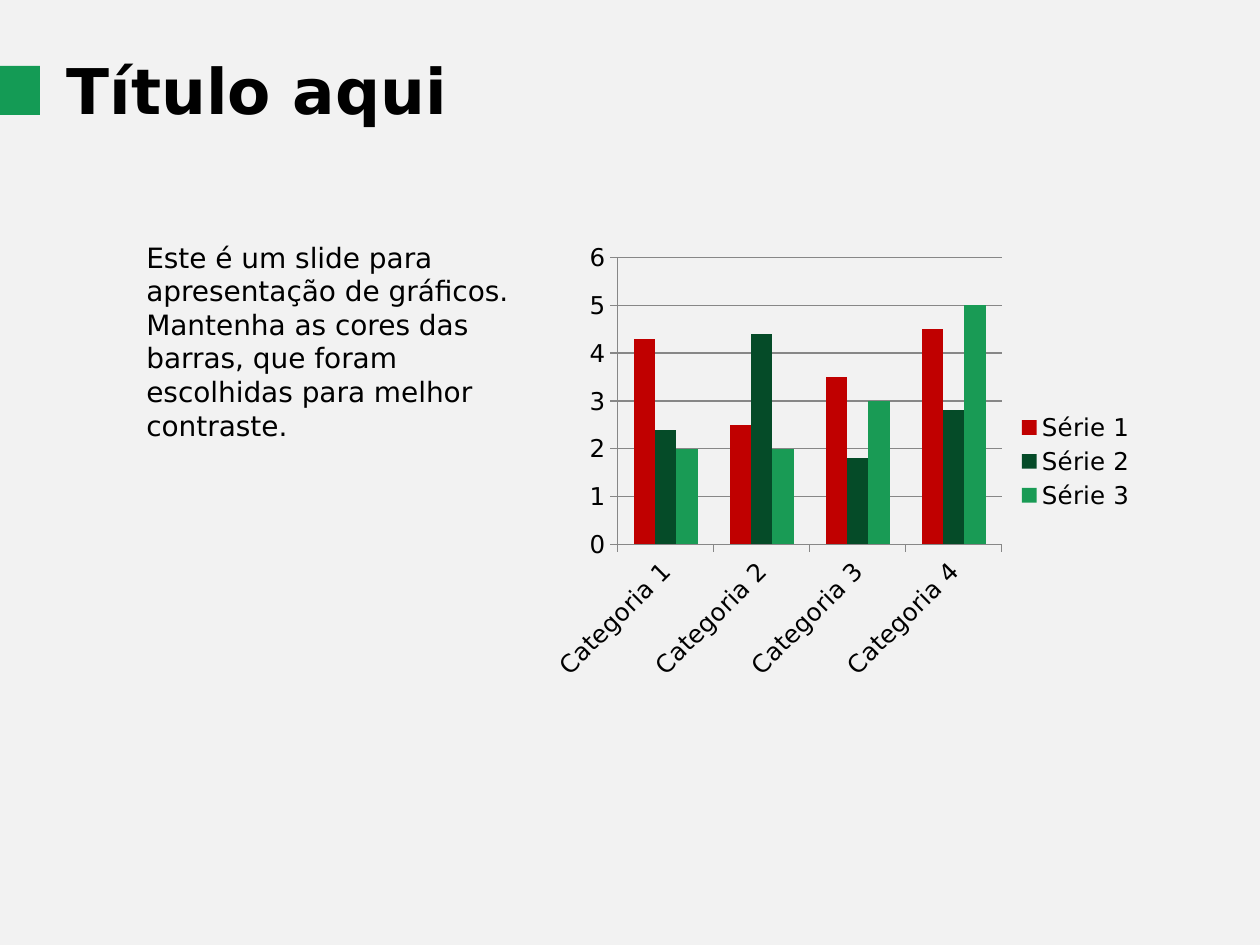
from pptx import Presentation
from pptx.chart.data import CategoryChartData
from pptx.dml.color import RGBColor
from pptx.enum.chart import XL_CHART_TYPE, XL_LEGEND_POSITION, XL_TICK_MARK
from pptx.enum.shapes import MSO_SHAPE
from pptx.enum.text import MSO_ANCHOR, PP_ALIGN
from pptx.util import Pt

COLUMNS = XL_CHART_TYPE.COLUMN_CLUSTERED
RIGHT = XL_LEGEND_POSITION.RIGHT
OUTSIDE = XL_TICK_MARK.OUTSIDE
RECTANGLE = MSO_SHAPE.RECTANGLE
TOP = MSO_ANCHOR.TOP
LEFT = PP_ALIGN.LEFT

# Content
TITLE = "Título aqui"
BODY = ("Este é um slide para apresentação de gráficos. Mantenha as cores "
        "das barras, que foram escolhidas para melhor contraste.")
CATEGORIES = ["Categoria 1", "Categoria 2", "Categoria 3", "Categoria 4"]
SERIES = [
    ("Série 1", (4.3, 2.5, 3.5, 4.5), "C00000"),
    ("Série 2", (2.4, 4.4, 1.8, 2.8), "054B28"),
    ("Série 3", (2, 2, 3, 5), "199B55"),
]

THEME = {
    "font": "DejaVu Sans",
    "background": "F2F2F2", "text": "000000", "accent": "149B55", "grid": "878787",
    "title_size": 36, "body_size": 16, "chart_size": 14,
}

# Places in px: left, top, width, height
PX_PER_INCH = 126
SLIDE = (1260, 945)
TITLE_BOX = (54, 45, 853, 89)
MARKER_BOX = (-5, 66, 45, 49)
BODY_BOX = (134, 234, 427, 217)
CHART_BOX = (541, 234, 607, 455)


def emu(lengths):
    return [round(n * 914400 / PX_PER_INCH) for n in lengths]


def color(value):
    return RGBColor.from_string(value)


def set_font(font, size, bold=False):
    font.name = THEME["font"]
    font.size = Pt(size)
    font.bold = bold
    font.color.rgb = color(THEME["text"])


def set_text(shape, text, size, bold=False):
    tf = shape.text_frame
    tf.word_wrap = True
    tf.vertical_anchor = TOP
    tf.text = text
    p = tf.paragraphs[0]
    p.alignment = LEFT
    set_font(p.font, size, bold)


def add_chart(s):
    data = CategoryChartData()
    data.categories = CATEGORIES
    for name, values, _ in SERIES:
        data.add_series(name, values)
    chart = s.shapes.add_chart(COLUMNS, *emu(CHART_BOX), data).chart
    chart.has_title = False
    set_font(chart.font, THEME["chart_size"])

    # Bars
    plot = chart.plots[0]
    plot.gap_width = 150
    plot.vary_by_categories = False
    for series, (_, _, fill) in zip(plot.series, SERIES):
        series.format.fill.solid()
        series.format.fill.fore_color.rgb = color(fill)

    # Axes and gridlines
    for axis in (chart.category_axis, chart.value_axis):
        axis.major_tick_mark = OUTSIDE
        axis.format.line.color.rgb = color(THEME["grid"])
        set_font(axis.tick_labels.font, THEME["chart_size"])
    chart.value_axis.has_major_gridlines = True
    chart.value_axis.major_gridlines.format.line.color.rgb = color(THEME["grid"])

    # Legend
    chart.has_legend = True
    chart.legend.position = RIGHT
    chart.legend.include_in_layout = False
    set_font(chart.legend.font, THEME["chart_size"])


def main():
    prs = Presentation()
    prs.slide_width, prs.slide_height = emu(SLIDE)
    s = prs.slides.add_slide(prs.slide_layouts[5])
    s.background.fill.solid()
    s.background.fill.fore_color.rgb = color(THEME["background"])

    add_chart(s)

    # Body text
    body = s.shapes.add_textbox(*emu(BODY_BOX))
    set_text(body, BODY, THEME["body_size"])

    # Title
    title = s.shapes.title
    title.left, title.top, title.width, title.height = emu(TITLE_BOX)
    set_text(title, TITLE, THEME["title_size"], bold=True)

    # Marker beside the title
    marker = s.shapes.add_shape(RECTANGLE, *emu(MARKER_BOX))
    marker.shadow.inherit = False
    marker.fill.solid()
    marker.fill.fore_color.rgb = color(THEME["accent"])
    marker.line.fill.background()

    prs.save("out.pptx")


if __name__ == "__main__":
    main()
